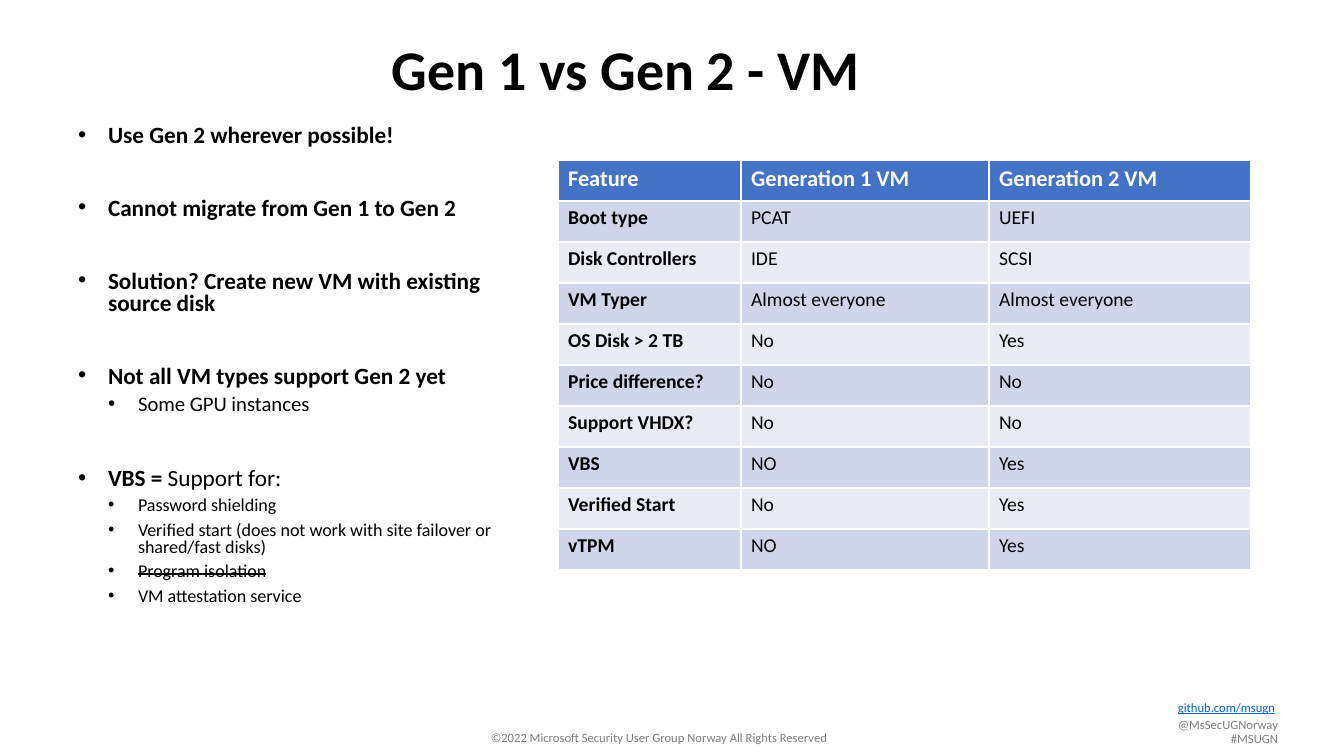
from lxml.etree import SubElement
from pptx import Presentation
from pptx.dml.color import RGBColor
from pptx.oxml.ns import qn
from pptx.util import Pt

PX = 9144000 / 1008  # EMU per pixel, 100.8 pixels to the inch


def px(*lengths):
    return [round(length * PX) for length in lengths]


def style(font, size, color, bold=False):
    font.name, font.size, font.bold = "Calibri", Pt(size), bold
    font.color.rgb = RGBColor.from_string(color)


prs = Presentation()
prs.slide_width, prs.slide_height = px(1344, 756)
slide = prs.slides.add_slide(prs.slide_layouts[6])
shapes = slide.shapes

# Footer
GREY, LINK = "808080", "0563C1"
footer = [
    ("©2022 Microsoft Security User Group Norway All Rights Reserved", 481, 725, 362, GREY),
    ("#MSUGN", 1221, 726, 68, GREY),
    ("@MsSecUGNorway", 1168, 712, 121, GREY),
    ("github.com/msugn", 1168, 695, 117, LINK),
]
for text, left, top, width, color in footer:
    frame = shapes.add_textbox(*px(left, top, width, 25)).text_frame
    frame.word_wrap = False
    line = frame.paragraphs[0]
    line.text = text
    style(line.font, 9, color)
    line.font.underline = color == LINK

# Title
title = shapes.add_textbox(*px(382, 30, 1053, 78)).text_frame
title.word_wrap = True
title.paragraphs[0].text = "Gen 1 vs Gen 2 - VM"
style(title.paragraphs[0].font, 40, "000000", True)

# Feature table
features = [
    ("Feature", "Generation 1 VM", "Generation 2 VM"),
    ("Boot type", "PCAT", "UEFI"),
    ("Disk Controllers", "IDE", "SCSI"),
    ("VM Typer", "Almost everyone", "Almost everyone"),
    ("OS Disk > 2 TB", "No", "Yes"),
    ("Price difference?", "No", "No"),
    ("Support VHDX?", "No", "No"),
    ("VBS", "NO", "Yes"),
    ("Verified Start", "No", "Yes"),
    ("vTPM", "NO", "Yes"),
]
table = shapes.add_table(len(features), 3, *px(558, 160, 693, 410)).table
for column, width in zip(table.columns, px(183, 248, 262)):
    column.width = width
for r, feature in enumerate(features):
    header = r == 0
    fill = "4472C4" if header else ("E9EBF5", "CFD5EA")[r % 2]
    for c, text in enumerate(feature):
        cell = table.cell(r, c)
        cell.fill.solid()
        cell.fill.fore_color.rgb = RGBColor.from_string(fill)
        entry = cell.text_frame.paragraphs[0]
        entry.text = text
        style(entry.font, 16 if header else 14,
              "FFFFFF" if header else "000000", header or c == 0)

# Advice: level, space before, size, bold, text
advice = [
    (0, 0, 16.6, True, "Use Gen 2 wherever possible!"),
    (0, 36, 16.6, True, "Cannot migrate from Gen 1 to Gen 2"),
    (0, 36, 16.6, True, "Solution? Create new VM with existing source disk"),
    (0, 36, 16.6, True, "Not all VM types support Gen 2 yet"),
    (1, 5, 14.8, False, "Some GPU instances"),
    (0, 38, 16.6, False, "VBS = Support for:"),
    (1, 5, 12.9, False, "Password shielding"),
    (1, 5, 12.9, False, "Verified start (does not work with site failover or shared/fast disks)"),
    (1, 5, 12.9, False, "Program isolation"),
    (1, 5, 12.9, False, "VM attestation service"),
]
BOLD_LEAD, STRUCK = "VBS = ", "Program isolation"
INDENT = 30
body = shapes.add_textbox(*px(70, 118, 453, 527)).text_frame
body.word_wrap = True
body.margin_left, body.margin_top, body.margin_right, body.margin_bottom = px(8, 8, 8, 8)
for i, (level, before, size, bold, text) in enumerate(advice):
    point = body.add_paragraph() if i else body.paragraphs[0]
    point.level = level
    point.line_spacing = 0.8
    point.space_before = Pt(before)
    props = point._p.get_or_add_pPr()
    margin, hanging = px(INDENT * (level + 1), -INDENT)
    props.set("marL", str(margin))
    props.set("indent", str(hanging))
    SubElement(props, qn("a:buFont")).set("typeface", "Arial")
    SubElement(props, qn("a:buChar")).set("char", "•")
    style(point.font, size, "000000", bold)
    if text.startswith(BOLD_LEAD):
        lead = point.add_run()
        lead.text = BOLD_LEAD
        lead.font.bold = True
        text = text.removeprefix(BOLD_LEAD)
    run = point.add_run()
    run.text = text
    if text == STRUCK:
        run._r.get_or_add_rPr().set("strike", "sngStrike")

prs.save("out.pptx")
